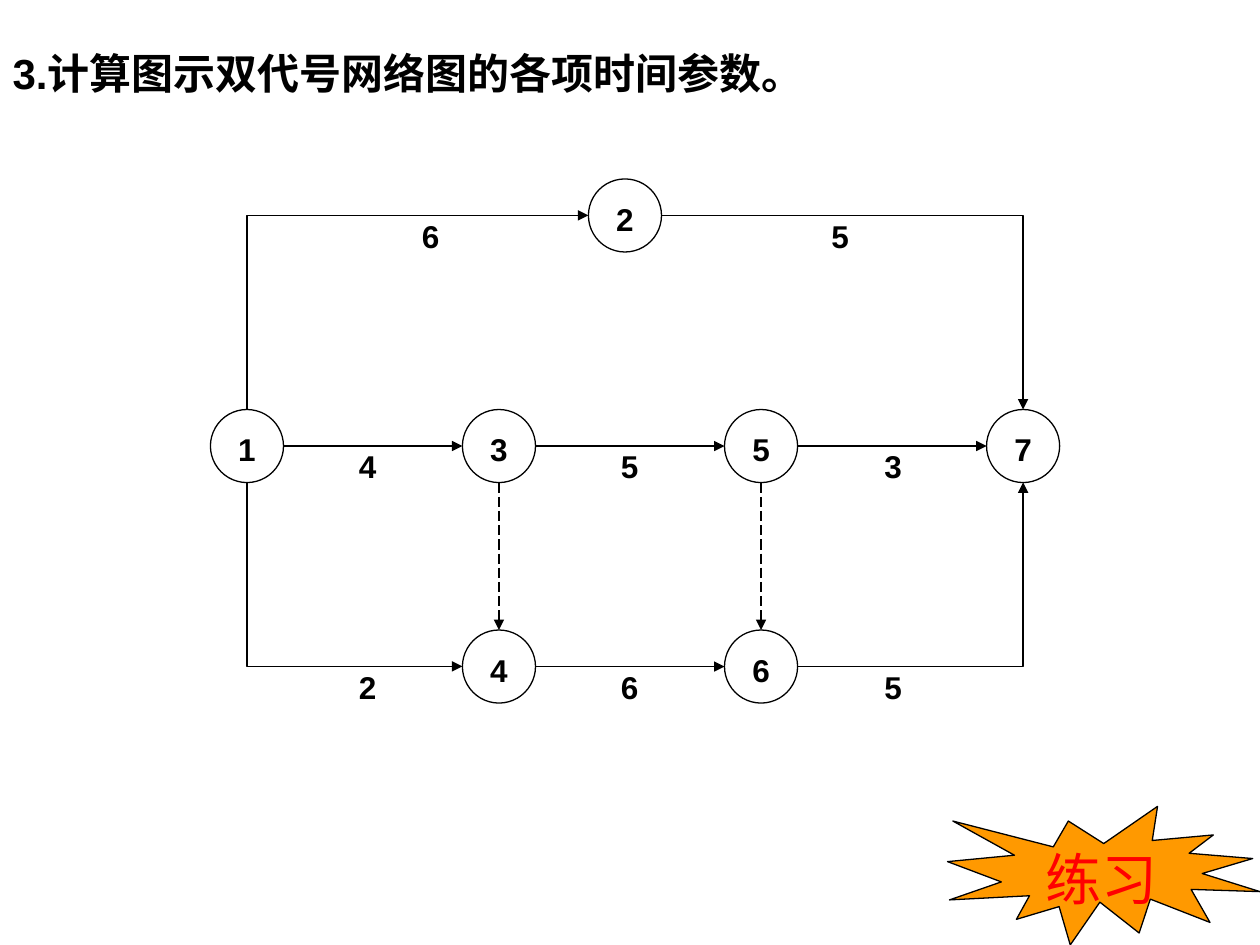
"""Build an exercise slide with an activity-on-arrow network."""
from dataclasses import dataclass
from math import copysign

from lxml.etree import SubElement
from pptx import Presentation
from pptx.dml.color import RGBColor
from pptx.enum.dml import MSO_LINE_DASH_STYLE as Dash
from pptx.enum.shapes import MSO_CONNECTOR as Connector, MSO_SHAPE as Shape
from pptx.enum.text import MSO_ANCHOR as Anchor, MSO_AUTO_SIZE as AutoSize, PP_ALIGN as Align
from pptx.oxml.ns import qn
from pptx.util import Inches, Pt

BLACK = RGBColor(0x00, 0x00, 0x00)
RED = RGBColor(0xFF, 0x00, 0x00)
ORANGE = RGBColor(0xFF, 0x99, 0x00)
FONT = "Arial"
RADIUS = 0.29
TOP_ROW, MIDDLE_ROW, BOTTOM_ROW = 1.71, 3.54, 5.29
COLUMNS = (1.96, 3.96, 6.04, 8.12)


@dataclass(frozen=True)
class Node:
    number: int
    x: float
    y: float


@dataclass(frozen=True)
class Activity:
    start: int
    end: int
    duration: str = ""
    label_x: float = 0


NODES = {node.number: node for node in (
    Node(1, COLUMNS[0], MIDDLE_ROW),
    Node(2, 4.96, TOP_ROW),
    Node(3, COLUMNS[1], MIDDLE_ROW),
    Node(4, COLUMNS[1], BOTTOM_ROW),
    Node(5, COLUMNS[2], MIDDLE_ROW),
    Node(6, COLUMNS[2], BOTTOM_ROW),
    Node(7, COLUMNS[3], MIDDLE_ROW),
)}
ACTIVITIES = (
    Activity(1, 2, "6", 3.25),
    Activity(2, 7, "5", 6.5),
    Activity(1, 3, "4", 2.75),
    Activity(1, 4, "2", 2.75),
    Activity(3, 5, "5", 4.83),
    Activity(4, 6, "6", 4.83),
    Activity(5, 7, "3", 6.92),
    Activity(6, 7, "5", 6.92),
    Activity(3, 4),
    Activity(5, 6),
)


def write(frame, text: str, size: float, color: RGBColor, bold: bool, align=Align.LEFT) -> None:
    frame.text = text
    para = frame.paragraphs[0]
    para.alignment = align
    font = para.runs[0].font
    font.name, font.size, font.bold = FONT, Pt(size), bold
    font.color.rgb = color


def add_labelled_shape(slide, kind, at: tuple, text: str, size: float, color: RGBColor,
                       bold: bool, drop: float):
    shape = slide.shapes.add_shape(kind, *map(Inches, at))
    shape.shadow.inherit = False
    shape.fill.background()
    shape.line.color.rgb = BLACK
    shape.line.width = Pt(0.75)
    frame = shape.text_frame
    frame.margin_left = frame.margin_right = frame.margin_bottom = 0
    frame.margin_top = Inches(drop)
    frame.word_wrap = False
    frame.vertical_anchor = Anchor.MIDDLE
    write(frame, text, size, color, bold, Align.CENTER)
    return shape


def toward(origin: float, target: float) -> float:
    if origin == target:
        return origin
    return origin + copysign(RADIUS, target - origin)


def add_arrow(slide, activity: Activity) -> None:
    start, end = NODES[activity.start], NODES[activity.end]
    bent = start.x != end.x and start.y != end.y
    reverse = bent and start.y == MIDDLE_ROW
    if reverse:
        start, end = end, start
    if bent:
        points = (toward(start.x, end.x), start.y, end.x, toward(end.y, start.y))
    else:
        points = (toward(start.x, end.x), toward(start.y, end.y),
                  toward(end.x, start.x), toward(end.y, start.y))
    kind = Connector.ELBOW if bent else Connector.STRAIGHT
    arrow = slide.shapes.add_connector(kind, *map(Inches, points))
    arrow.line.color.rgb = BLACK
    arrow.line.width = Pt(0.75)
    if not activity.duration:
        arrow.line.dash_style = Dash.LONG_DASH
    properties = arrow.element.spPr
    if bent:
        properties.find(qn("a:prstGeom")).set("prst", "bentConnector2")
    tip = "a:headEnd" if reverse else "a:tailEnd"
    SubElement(properties.find(qn("a:ln")), qn(tip), type="triangle")
    SubElement(properties, qn("a:effectLst"))


def add_duration(slide, activity: Activity) -> None:
    start, end = NODES[activity.start], NODES[activity.end]
    row = end.y if start.y == MIDDLE_ROW else start.y
    box = slide.shapes.add_textbox(Inches(activity.label_x), Inches(row - 0.04),
                                   Inches(0.33), Inches(0.4))
    box.text_frame.word_wrap = True
    write(box.text_frame, activity.duration, 18, BLACK, True)


def add_title(slide, text: str) -> None:
    title = slide.shapes.title
    title.left, title.top, title.width, title.height = map(Inches, (0, 0.33, 9.75, 0.5))
    frame = title.text_frame
    frame.auto_size = AutoSize.NONE
    frame.vertical_anchor = Anchor.TOP
    write(frame, text, 24, BLACK, True)


def main() -> None:
    deck = Presentation()
    deck.slide_width, deck.slide_height = Inches(10), Inches(7.5)
    page = deck.slides.add_slide(deck.slide_layouts[5])
    add_title(page, "3.计算图示双代号网络图的各项时间参数。")
    badge = add_labelled_shape(page, Shape.EXPLOSION1, (7.52, 6.4, 2.48, 1.1),
                               "练习", 32, RED, False, 0.1)
    badge.fill.solid()
    badge.fill.fore_color.rgb = ORANGE
    for node in NODES.values():
        at = (node.x - RADIUS, node.y - RADIUS, 2 * RADIUS, 2 * RADIUS)
        add_labelled_shape(page, Shape.OVAL, at, str(node.number), 18, BLACK, True, 0.05)
    for activity in ACTIVITIES:
        add_arrow(page, activity)
        if activity.duration:
            add_duration(page, activity)
    deck.save("out.pptx")


if __name__ == "__main__":
    main()
